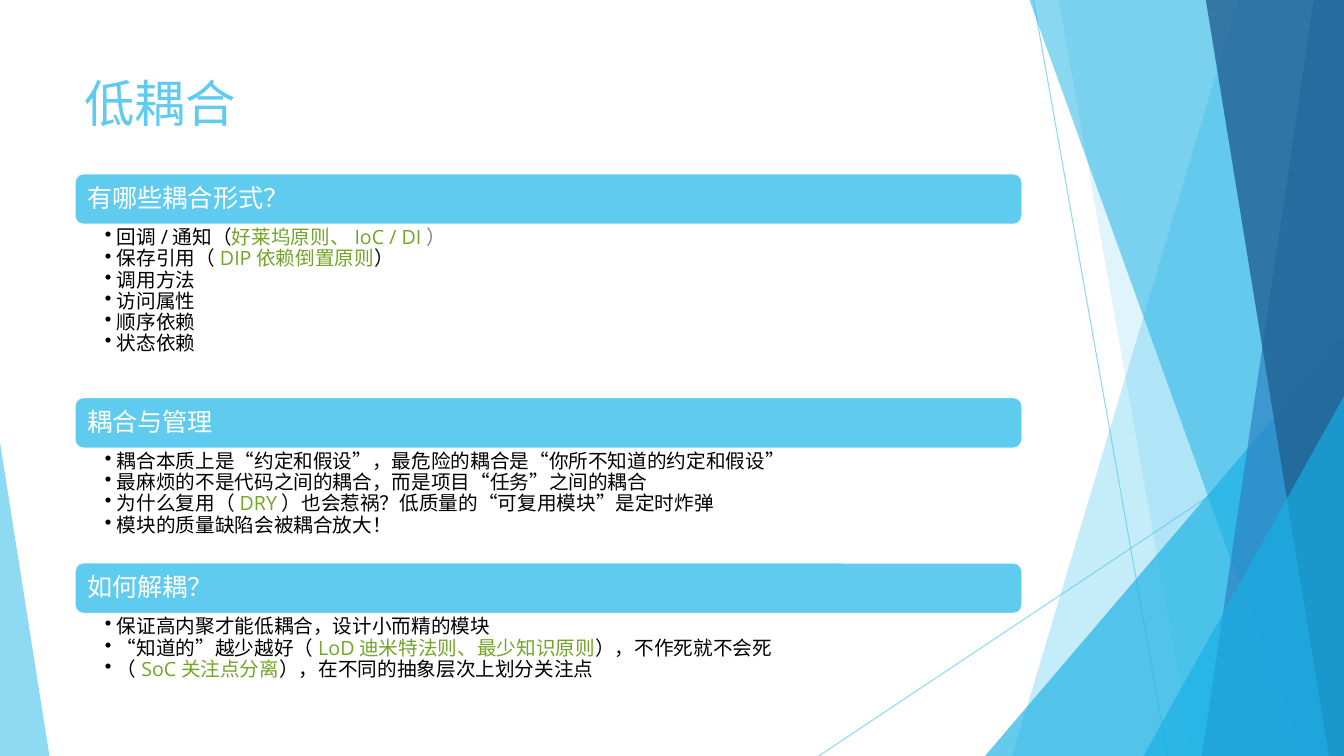
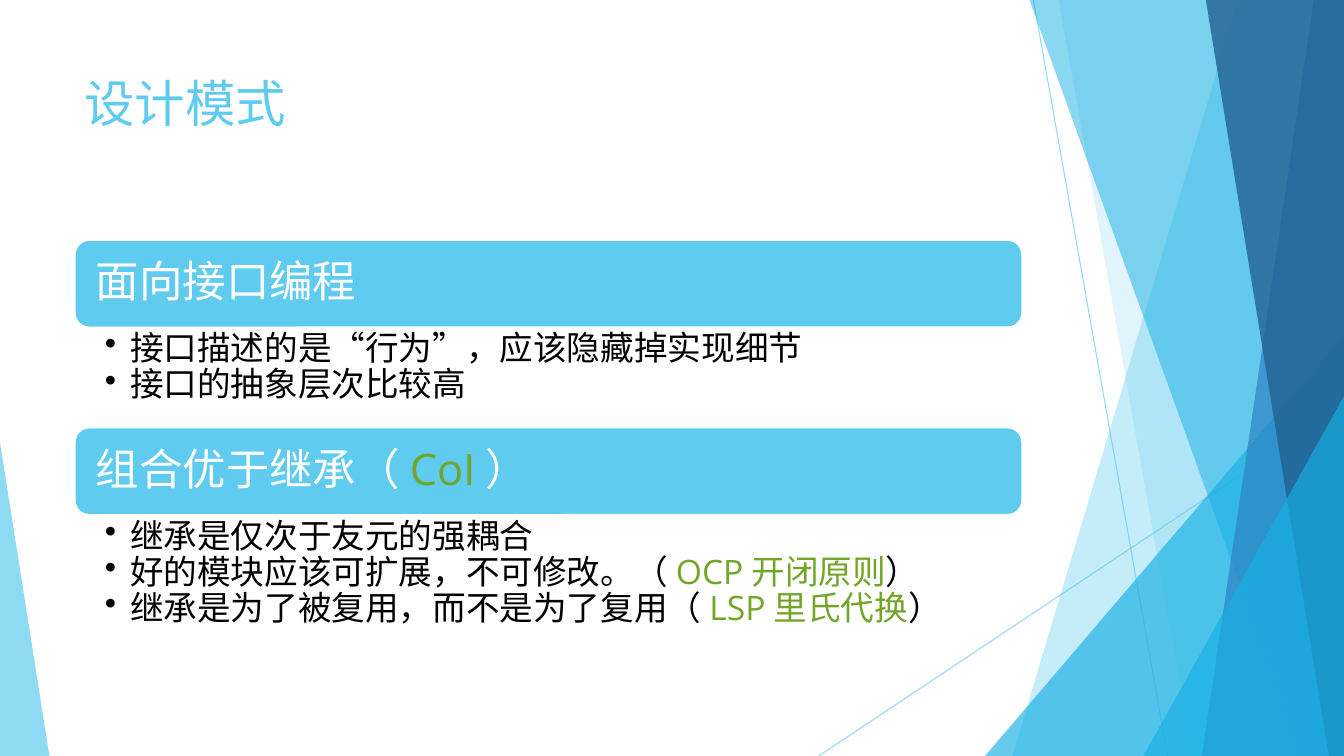
from lxml import etree
from pptx import Presentation
from pptx import util as u
from pptx.dml import color
from pptx.enum import lang, shapes, text
from pptx.oxml import ns

FONT = "Open Sans"
SKY, CYAN, BLUE, NAVY = "5FCBEF", "17B0E4", "2E83C3", "226292"
WHITE, BLACK, GREEN, GRAY = "FFFFFF", "000000", "72A528", "808080"
WIDE, HIGH = 13.33, 7.5
LEFT, SPAN = 0.74, 9.4

# Top and bottom x of each band's slanted edge, colour, opacity
BANDS = [(12.28, 10.04, SKY, 36), (10.5, 11.83, SKY, 20)]
INNER = [(10.21, 12.91, CYAN, 50), (13.03, 11.92, BLUE, 70),
         (11.96, 13.18, NAVY, 80)]


def rgb(code):
    """Turn a hex string into a colour."""
    return color.RGBColor.from_string(code)


def fade(fill, part):
    """Set the opacity, in percent, of the solid colour inside an element."""
    tone = next(fill.iter(ns.qn("a:srgbClr")))
    etree.SubElement(tone, ns.qn("a:alpha")).set("val", str(part * 1000))


class Deck:
    """Hold the shared style and the current slide."""

    def __init__(self):
        """Start an empty deck."""
        self.prs = Presentation()
        self.prs.slide_width = u.Inches(WIDE)
        self.prs.slide_height = u.Inches(HIGH)

    def page(self, title):
        """Add a slide with its backdrop and title."""
        self.slide = self.prs.slides.add_slide(self.prs.slide_layouts[6])
        self.back()
        frame = self.box(LEFT, 0.67, SPAN, 1.44).text_frame
        self.runs(frame.paragraphs[0], title, 36, SKY)

    def back(self):
        """Draw the slanted lines, bands and triangles."""
        self.line(10.25, 0, 11.58, HIGH)
        self.line(WIDE, 4.03, 8.12, HIGH)
        for band in BANDS:
            self.band(*band)
        self.wedge(9.77, 3.33, 3.56, 1, CYAN, 66)
        for band in INNER:
            self.band(*band)
        self.wedge(11.34, 3.93, 1.99, 1, CYAN, 66)
        self.wedge(0, 4.39, 0.49, 0, SKY, 70)

    def line(self, x1, y1, x2, y2):
        """Draw a thin, faded line."""
        ends = [u.Inches(v) for v in (x1, y1, x2, y2)]
        line = self.slide.shapes.add_connector(
            shapes.MSO_CONNECTOR.STRAIGHT, *ends)
        line.line.color.rgb = rgb(SKY)
        line.line.width = u.Pt(0.75)
        props = line._element.spPr
        fade(props, 70)
        etree.SubElement(props, ns.qn("a:effectLst"))

    def paint(self, shape, tone, part=100):
        """Fill a shape plainly, with no line or shadow."""
        shape.shadow.inherit = False
        shape.fill.solid()
        shape.fill.fore_color.rgb = rgb(tone)
        shape.line.fill.background()
        if part < 100:
            fade(shape._element.spPr, part)

    def band(self, top, base, tone, part):
        """Draw a band from a slanted edge to the right side."""
        pen = self.slide.shapes.build_freeform(u.Inches(top), 0)
        spots = [(WIDE, 0), (WIDE, HIGH), (base, HIGH)]
        pen.add_line_segments([(u.Inches(x), u.Inches(y)) for x, y in spots])
        self.paint(pen.convert_to_shape(), tone, part)

    def wedge(self, x, y, w, tip, tone, part):
        """Draw a triangle that stands on the bottom edge."""
        shape = self.shape(shapes.MSO_SHAPE.ISOSCELES_TRIANGLE,
                           x, y, w, HIGH - y)
        shape.adjustments[0] = tip
        self.paint(shape, tone, part)

    def shape(self, kind, x, y, w, h):
        """Add a preset shape."""
        return self.slide.shapes.add_shape(
            kind, *[u.Inches(v) for v in (x, y, w, h)])

    def box(self, x, y, w, h):
        """Add a wrapping text box."""
        box = self.slide.shapes.add_textbox(
            *[u.Inches(v) for v in (x, y, w, h)])
        box.text_frame.word_wrap = True
        return box

    def runs(self, para, words, size, base):
        """Add runs parted by bars: base, green, base, gray."""
        for part, tone in zip(words.split("|"), (base, GREEN, base, GRAY)):
            if not part:
                continue
            run = para.add_run()
            run.text = part
            run.font.name = FONT
            run.font.size = u.Pt(size)
            run.font.color.rgb = rgb(tone)
            run.font.language_id = lang.MSO_LANGUAGE_ID.SIMPLIFIED_CHINESE

    def bar(self, y, h, words, size, pad):
        """Draw a rounded heading bar."""
        bar = self.shape(shapes.MSO_SHAPE.ROUNDED_RECTANGLE, LEFT, y, SPAN, h)
        self.paint(bar, SKY)
        bar.line.color.rgb = rgb(WHITE)
        bar.line.width = u.Pt(1.5)
        frame = bar.text_frame
        frame.word_wrap = True
        frame.vertical_anchor = text.MSO_ANCHOR.MIDDLE
        frame.margin_left = frame.margin_right = u.Inches(pad)
        frame.margin_top = frame.margin_bottom = 0
        para = frame.paragraphs[0]
        para.alignment = text.PP_ALIGN.LEFT
        para.line_spacing = 0.9
        self.runs(para, words, size, WHITE)

    def points(self, y, h, rows, size, hang, pad):
        """Add a bulleted list."""
        frame = self.box(LEFT, y, SPAN, h).text_frame
        frame.margin_left, frame.margin_right = u.Inches(0.3), u.Inches(0.14)
        frame.margin_top = frame.margin_bottom = u.Inches(pad)
        for i, row in enumerate(rows):
            para = frame.add_paragraph() if i else frame.paragraphs[0]
            para.level = 1
            para.line_spacing = 0.9
            self.runs(para, row, size, BLACK)
            props = para._p.get_or_add_pPr()
            props.set("marL", str(u.Inches(hang)))
            props.set("indent", str(-u.Inches(hang)))
            etree.SubElement(props, ns.qn("a:buChar")).set("char", "•")

    def stack(self, y, tall, head, body, topics):
        """Stack heading bars and lists down the slide."""
        for name, h, rows in topics:
            self.bar(y, tall, name, *head)
            self.points(y + tall, h, rows, *body)
            y += tall + h


deck = Deck()

deck.page("低耦合")
deck.stack(1.72, 0.51, (18, 0.1), (14, 0.12, 0.03), [
    ("有哪些耦合形式？", 1.71, [
        "回调/通知（|好莱坞原则、IoC / DI||）",
        "保存引用（|DIP依赖倒置原则|）",
        "调用方法",
        "访问属性",
        "顺序依赖",
        "状态依赖"]),
    ("耦合与管理", 1.13, [
        "耦合本质上是“约定和假设”，最危险的耦合是“你所不知道的约定和假设”",
        "最麻烦的不是代码之间的耦合，而是项目“任务”之间的耦合",
        "为什么复用（|DRY|）也会惹祸？低质量的“可复用模块”是定时炸弹",
        "模块的质量缺陷会被耦合放大！"]),
    ("如何解耦？", 0.86, [
        "保证高内聚才能低耦合，设计小而精的模块",
        "“知道的”越少越好（|LoD迪米特法则、最少知识原则|），不作死就不会死",
        "（|SoC关注点分离|），在不同的抽象层次上划分关注点"]),
])

deck.page("设计模式")
deck.stack(2.38, 0.87, (31, 0.17), (24, 0.25, 0.04), [
    ("面向接口编程", 0.99, [
        "接口描述的是“行为”，应该隐藏掉实现细节",
        "接口的抽象层次比较高"]),
    ("组合优于继承（|CoI|）", 1.47, [
        "继承是仅次于友元的强耦合",
        "好的模块应该可扩展，不可修改。（|OCP开闭原则|）",
        "继承是为了被复用，而不是为了复用（|LSP里氏代换|）"]),
])

deck.prs.save("out.pptx")
